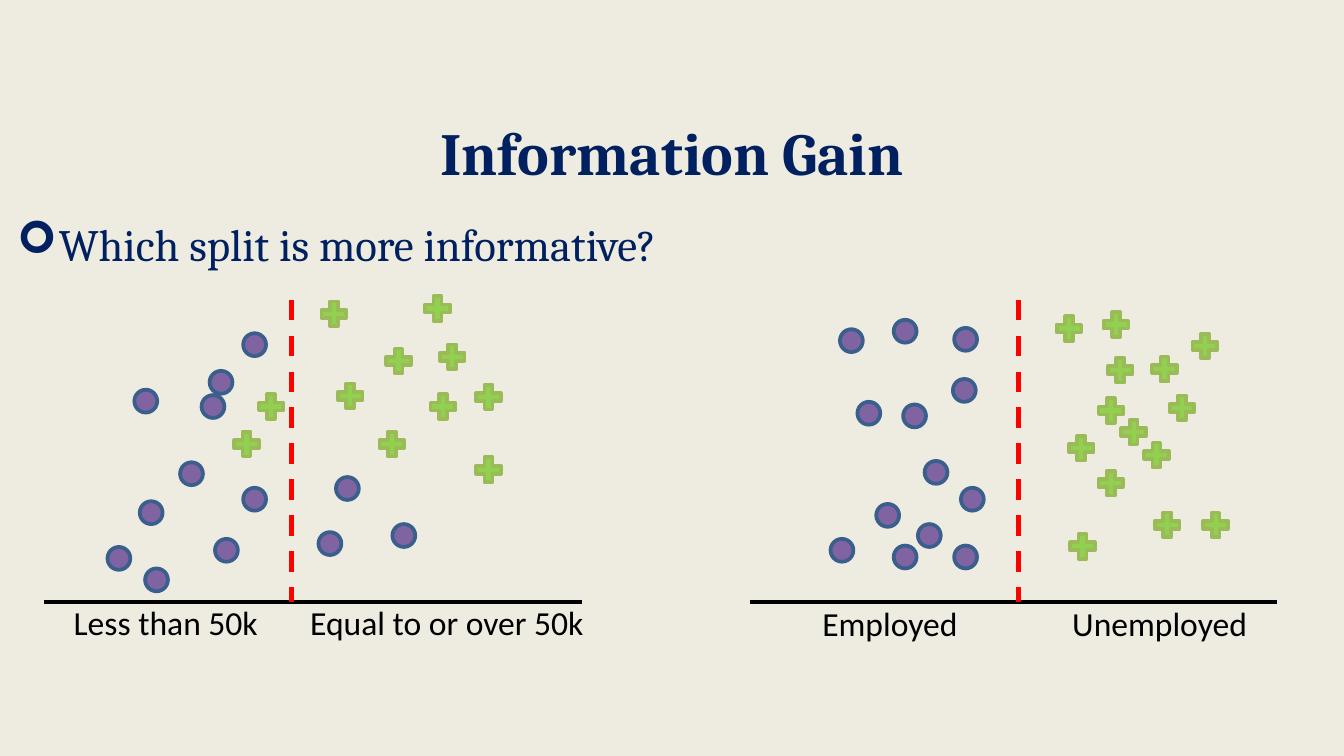
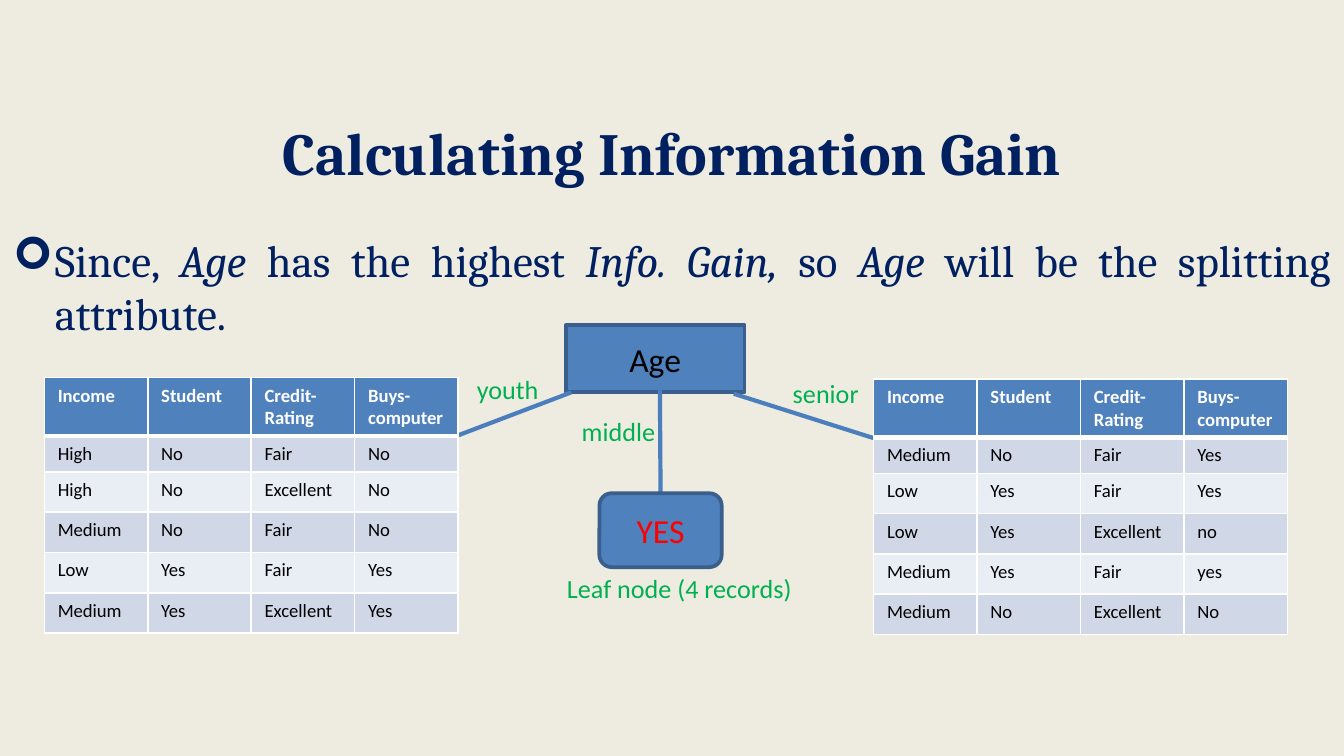
import dataclasses
import typing

import lxml.etree
import pptx
import pptx.dml.color
import pptx.enum.dml
import pptx.enum.shapes
import pptx.enum.text
import pptx.oxml.ns
import pptx.util

Inches = pptx.util.Inches
Pt = pptx.util.Pt
Shape = pptx.enum.shapes.MSO_SHAPE
Align = pptx.enum.text.PP_ALIGN
Anchor = pptx.enum.text.MSO_ANCHOR

SERIF, SANS = "Cambria", "Calibri"
PAPER, NAVY, BLACK, WHITE = "EEECE1", "002060", "000000", "FFFFFF"
RED, GREEN = "FF0000", "00B050"
BLUE, BLUE_EDGE, BRANCH = "4F81BD", "3A5F8C", "4B7EBC"
BAND_DARK, BAND_LIGHT = "D0D8E8", "E9EDF4"
Point = tuple[float, float]


@dataclasses.dataclass(frozen=True)
class Style:
    size: float
    color: str
    font: str = SANS
    bold: bool = False


@dataclasses.dataclass(frozen=True)
class Box:
    left: float
    top: float
    width: float
    height: float

    def emu(self) -> list[int]:
        return [Inches(v) for v in dataclasses.astuple(self)]


@dataclasses.dataclass(frozen=True)
class Marker:
    kind: typing.Any
    size: float
    fill: str
    edge: str


@dataclasses.dataclass(frozen=True)
class Label:
    text: str
    box: Box
    tab: float = 0


@dataclasses.dataclass(frozen=True)
class Split:
    axis: Point
    divider: float
    circles: list[Point]
    pluses: list[Point]
    label: Label


TITLE = Style(32, NAVY, SERIF, True)
BODY = Style(24, NAVY, SERIF)
GROUP = Style(18, BLACK)
LEAF = Style(18, RED)
NOTE = Style(14, GREEN)
HEAD = Style(10, WHITE, bold=True)
CELL = Style(10, BLACK)

CIRCLE = Marker(Shape.OVAL, 0.17, "8064A2", BLUE_EDGE)
PLUS = Marker(Shape.MATH_PLUS, 0.25, "92D050", "9BBB59")
AXIS_Y, DIVIDER_TOP = 4.48, 2.23

SPLITS = [
    Split(
        (0.33, 4.33), 2.17,
        [(1.04, 3.73), (2.5, 3.55), (1, 2.9), (1.81, 3.63), (1.56, 2.76), (0.8, 4.07), (1.81, 2.48),
         (1.6, 4.01), (1.34, 3.44), (1.5, 2.94), (1.08, 4.23), (2.92, 3.9), (2.37, 3.96)],
        [(2.36, 2.21), (2.79, 3.18), (2.48, 2.82), (3.13, 2.17), (3.51, 2.83), (3.24, 2.53),
         (2.84, 2.56), (3.51, 3.37), (3.17, 2.9), (1.89, 2.9), (1.71, 3.18)],
        Label("Less than 50k\tEqual to or over 50k", Box(0.45, 4.43, 4.3, 0.4), 1.76),
    ),
    Split(
        (5.58, 9.5), 7.58,
        [(6.52, 3.75), (6.65, 4.06), (7.1, 4.06), (7.15, 3.63), (6.88, 3.43), (6.83, 3.9), (7.09, 2.82),
         (6.18, 4.01), (6.65, 2.38), (7.1, 2.44), (6.38, 2.99), (6.72, 3.01), (6.25, 2.45)],
        [(8.14, 2.93), (8.14, 3.47), (7.92, 3.21), (8.18, 2.29), (8.54, 2.62), (8.67, 2.91),
         (8.21, 2.63), (8.84, 2.45), (8.56, 3.78), (8.92, 3.78), (7.93, 3.94), (7.83, 2.32),
         (8.31, 3.09), (8.48, 3.26)],
        Label("Employed\tUnemployed", Box(6.02, 4.44, 3.9, 0.4), 1.86),
    ),
]

COLUMNS = ["Income", "Student", "Credit-Rating", "Buys-computer"]
ROW_HEIGHTS = [0.3, 0.26, 0.3, 0.3, 0.3, 0.3]
YOUTH = [
    ["High", "No", "Fair", "No"],
    ["High", "No", "Excellent", "No"],
    ["Medium", "No", "Fair", "No"],
    ["Low", "Yes", "Fair", "Yes"],
    ["Medium", "Yes", "Excellent", "Yes"],
]
SENIOR = [
    ["Medium", "No", "Fair", "Yes"],
    ["Low", "Yes", "Fair", "Yes"],
    ["Low", "Yes", "Excellent", "no"],
    ["Medium", "Yes", "Fair", "yes"],
    ["Medium", "No", "Excellent", "No"],
]
BRANCH_LABELS = [
    Label("youth", Box(3.45, 2.73, 0.78, 0.34)),
    Label("middle", Box(4.23, 3.04, 0.78, 0.34)),
    Label("senior", Box(5.8, 2.76, 0.78, 0.34)),
    Label("Leaf node (4 records)", Box(4.12, 4.21, 1.96, 0.34)),
]


def rgb(color: str) -> pptx.dml.color.RGBColor:
    return pptx.dml.color.RGBColor.from_string(color)


def add_child(parent: typing.Any, tag: str, **attributes: str) -> typing.Any:
    return lxml.etree.SubElement(parent, pptx.oxml.ns.qn(tag), attributes)


def add_run(p: typing.Any, text: str, style: Style, italic: bool = False) -> None:
    r = p.add_run()
    r.text = text
    r.font.name = style.font
    r.font.size = Pt(style.size)
    r.font.bold = style.bold
    r.font.italic = italic
    r.font.color.rgb = rgb(style.color)


def add_text(slide: typing.Any, label: Label, style: Style) -> None:
    tf = slide.shapes.add_textbox(*label.box.emu()).text_frame
    tf.word_wrap = True
    p = tf.paragraphs[0]
    if label.tab:
        tabs = add_child(p._p.get_or_add_pPr(), "a:tabLst")
        add_child(tabs, "a:tab", pos=str(Inches(label.tab)), algn="l")
    add_run(p, label.text, style)


def add_bullet(slide: typing.Any, box: Box, runs: list[tuple[str, bool]], align: typing.Any) -> None:
    tf = slide.shapes.add_textbox(*box.emu()).text_frame
    tf.word_wrap = True
    p = tf.paragraphs[0]
    p.alignment = align
    props = p._p.get_or_add_pPr()
    props.set("marL", str(Inches(0.31)))
    props.set("indent", str(-Inches(0.31)))
    add_child(props, "a:buFont", typeface="Wingdings")
    add_child(props, "a:buChar", char="➢")
    for text, italic in runs:
        add_run(p, text, BODY, italic)


def add_filled(slide: typing.Any, kind: typing.Any, box: Box, fill: str, edge: str) -> typing.Any:
    sp = slide.shapes.add_shape(kind, *box.emu())
    sp.shadow.inherit = False
    sp.fill.solid()
    sp.fill.fore_color.rgb = rgb(fill)
    sp.line.color.rgb = rgb(edge)
    sp.line.width = Pt(2)
    return sp


def add_markers(slide: typing.Any, marker: Marker, points: list[Point]) -> None:
    for x, y in points:
        add_filled(slide, marker.kind, Box(x, y, marker.size, marker.size), marker.fill, marker.edge)


def add_node(slide: typing.Any, kind: typing.Any, label: Label, style: Style) -> typing.Any:
    sp = add_filled(slide, kind, label.box, BLUE, BLUE_EDGE)
    tf = sp.text_frame
    tf.vertical_anchor = Anchor.MIDDLE
    p = tf.paragraphs[0]
    p.alignment = Align.CENTER
    add_run(p, label.text, style)
    return sp


def add_line(slide: typing.Any, start: Point, end: Point, color: str,
             width: float = 2.25, dashed: bool = False) -> typing.Any:
    line = slide.shapes.add_connector(
        pptx.enum.shapes.MSO_CONNECTOR.STRAIGHT, *[Inches(v) for v in start + end])
    line.line.color.rgb = rgb(color)
    line.line.width = Pt(width)
    if dashed:
        line.line.dash_style = pptx.enum.dml.MSO_LINE.DASH
    add_child(line._element.spPr, "a:effectLst")
    return line


def set_borders(cell: typing.Any, bottom: float) -> None:
    props = cell._tc.get_or_add_tcPr()
    for side, width in (("L", 1), ("R", 1), ("T", 1), ("B", bottom)):
        ln = add_child(props, f"a:ln{side}", w=str(Pt(width)))
        add_child(add_child(ln, "a:solidFill"), "a:srgbClr", val=WHITE)


def add_records(slide: typing.Any, left: float, top: float, records: list[list[str]]) -> None:
    box = Box(left, top, 3.08, sum(ROW_HEIGHTS))
    rows = [COLUMNS] + records
    table = slide.shapes.add_table(len(rows), len(COLUMNS), *box.emu()).table
    for column in table.columns:
        column.width = Inches(box.width / len(COLUMNS))
    for i, values in enumerate(rows):
        table.rows[i].height = Inches(ROW_HEIGHTS[i])
        fill = BLUE if i == 0 else BAND_DARK if i % 2 else BAND_LIGHT
        for j, text in enumerate(values):
            cell = table.cell(i, j)
            set_borders(cell, 1 if i else 3)
            cell.fill.solid()
            cell.fill.fore_color.rgb = rgb(fill)
            add_run(cell.text_frame.paragraphs[0], text, CELL if i else HEAD)


def add_slide(prs: typing.Any, title: str) -> typing.Any:
    slide = prs.slides.add_slide(prs.slide_layouts.get_by_name("Title Only"))
    sp = slide.shapes.title
    sp.left, sp.top, sp.width, sp.height = Box(0, 0.81, 10, 0.6).emu()
    tf = sp.text_frame
    tf.auto_size = pptx.enum.text.MSO_AUTO_SIZE.NONE
    tf.vertical_anchor = Anchor.TOP
    p = tf.paragraphs[0]
    p.alignment = Align.CENTER
    add_run(p, title, TITLE)
    return slide


def build_splits(prs: typing.Any) -> None:
    slide = add_slide(prs, "Information Gain")
    add_bullet(slide, Box(0.03, 1.56, 9.97, 0.5),
               [("Which split is more informative?", False)], Align.LEFT)
    for split in SPLITS:
        left, right = split.axis
        add_line(slide, (left, AXIS_Y), (right, AXIS_Y), BLACK)
        add_line(slide, (split.divider, DIVIDER_TOP), (split.divider, AXIS_Y), RED, 2.75, True)
        add_markers(slide, CIRCLE, split.circles)
        add_markers(slide, PLUS, split.pluses)
        add_text(slide, split.label, GROUP)


def build_tree(prs: typing.Any) -> None:
    slide = add_slide(prs, "Calculating Information Gain")
    add_bullet(slide, Box(0, 1.68, 10, 2.52), [
        ("Since, ", False), ("Age ", True), ("has the highest ", False), ("Info. Gain, ", True),
        ("so ", False), ("Age", True), (" will be the splitting attribute. ", False),
    ], Align.JUSTIFY)
    add_node(slide, Shape.RECTANGLE, Label("Age", Box(4.21, 2.42, 1.33, 0.5)), GROUP)
    add_line(slide, (4.25, 2.92), (3.17, 3.33), BRANCH)
    add_line(slide, (5.46, 2.93), (6.5, 3.26), BRANCH)
    middle = add_line(slide, (4.91, 2.9), (4.92, 3.67), BRANCH)
    add_records(slide, 0.33, 2.81, YOUTH)
    add_records(slide, 6.5, 2.82, SENIOR)
    leaf = add_node(slide, Shape.ROUNDED_RECTANGLE, Label("YES", Box(4.46, 3.67, 0.91, 0.55)), LEAF)
    middle.end_connect(leaf, 0)
    for label in BRANCH_LABELS:
        add_text(slide, label, NOTE)


def main() -> None:
    prs = pptx.Presentation()
    prs.slide_width = Inches(10)
    prs.slide_height = prs.slide_width * 9 // 16
    background = prs.slide_master.background.fill
    background.solid()
    background.fore_color.rgb = rgb(PAPER)
    build_splits(prs)
    build_tree(prs)
    prs.save("out.pptx")


if __name__ == "__main__":
    main()
